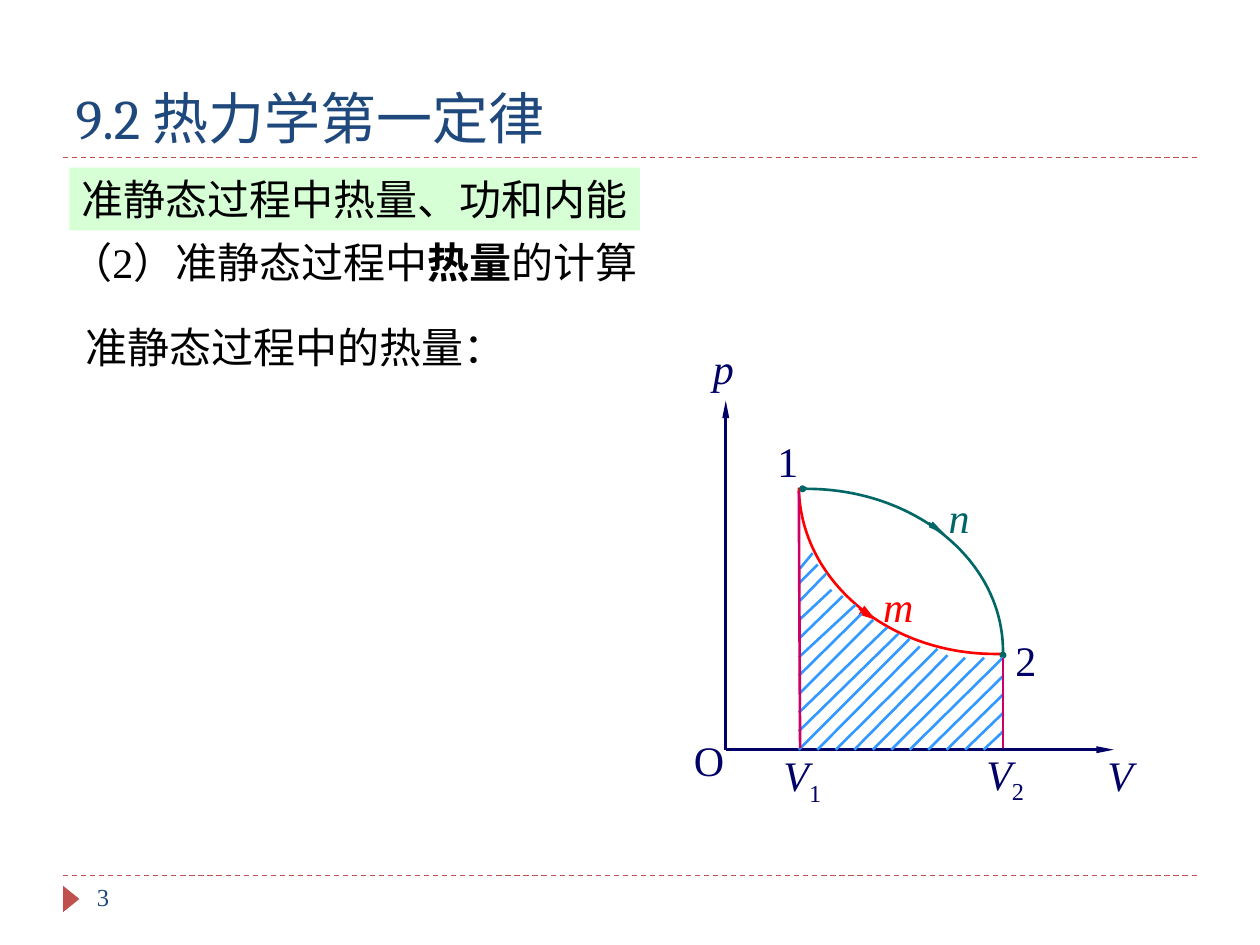
import pptx
import pptx.util
import pptx.dml.color
import pptx.enum.dml
import pptx.enum.shapes
import pptx.enum.text
import pptx.oxml
import pptx.oxml.ns

Inches = pptx.util.Inches
Pt = pptx.util.Pt
RGBColor = pptx.dml.color.RGBColor
qn = pptx.oxml.ns.qn
SHAPES = pptx.enum.shapes.MSO_SHAPE
ANCHOR = pptx.enum.text.MSO_ANCHOR

BLACK = RGBColor(0x00, 0x00, 0x00)
TITLE_BLUE = RGBColor(0x1F, 0x49, 0x7D)
ACCENT_RED = RGBColor(0xC0, 0x50, 0x4D)
PALE_GREEN = RGBColor(0xCC, 0xFF, 0xCC)
NAVY = RGBColor(0x00, 0x00, 0x66)
RED = RGBColor(0xFF, 0x00, 0x00)
TEAL = RGBColor(0x00, 0x66, 0x66)
MAGENTA = RGBColor(0xCC, 0x00, 0x66)
HATCH_BLUE = RGBColor(0x33, 0x99, 0xFF)
BODY_FONT = "Times New Roman"

# Key positions of the p-V diagram
ORIGIN_X, AXIS_Y = 5.76, 5.95
V1_X, V2_X = 6.34, 7.96

# Upper ends of the hatch lines that stop at curve m
HATCH_TOPS = [
    (6.49, 4.48), (6.56, 4.55), (6.60, 4.68), (6.69, 4.73), (6.79, 4.80),
    (6.84, 4.87), (6.93, 4.92), (7.04, 4.98), (7.13, 5.03), (7.22, 5.07),
    (7.30, 5.13), (7.44, 5.15), (7.52, 5.20), (7.66, 5.22), (7.81, 5.22),
]


def format_run(run, size, color, font=BODY_FONT, italic=False, bold=False):
    run.font.name = font
    run.font.size = Pt(size)
    run.font.color.rgb = color
    run.font.italic = italic
    run.font.bold = bold


def add_text(slide, left, top, width, height, text, color=BLACK, size=24,
             italic=False, subscript="", inset=None):
    box = slide.shapes.add_textbox(
        Inches(left), Inches(top), Inches(width), Inches(height))
    frame = box.text_frame
    frame.word_wrap = True
    if inset is not None:
        frame.margin_left = frame.margin_right = Inches(inset)
        frame.margin_top = frame.margin_bottom = Inches(inset)
    frame.text = text
    paragraph = frame.paragraphs[0]
    format_run(paragraph.runs[0], size, color, italic=italic)
    if subscript:
        run = paragraph.add_run()
        run.text = subscript
        format_run(run, size, color)
        run._r.get_or_add_rPr().set("baseline", "-25000")
    return paragraph


def add_line_end(line, end, kind, width="sm", length="lg"):
    element = pptx.oxml.parse_xml(
        f'<a:{end} {pptx.oxml.ns.nsdecls("a")} type="{kind}"'
        f' w="{width}" len="{length}"/>')
    line._get_or_add_ln().append(element)


def add_line(slide, start, end, color, width=1.5, arrow=None, dashed=False):
    """Draw a line; arrow gives the width of its arrowhead, if it has one."""
    connector = slide.shapes.add_connector(
        pptx.enum.shapes.MSO_CONNECTOR.STRAIGHT,
        *(Inches(value) for value in (*start, *end)))
    connector.line.color.rgb = color
    connector.line.width = Pt(width)
    if dashed:
        connector.line.dash_style = pptx.enum.dml.MSO_LINE.DASH
    if arrow:
        add_line_end(connector.line, "tailEnd", "triangle", arrow)
    connector._element.spPr.append(pptx.oxml.parse_xml(
        f'<a:effectLst {pptx.oxml.ns.nsdecls("a")}/>'))


def add_curve(slide, points, color, end_dots=False):
    """Draw cubic curves through a start point and triples of control points."""
    # The builder keeps whole units only, so work in hundredths of an inch
    units = [(round(x * 100), round(y * 100)) for x, y in points]
    builder = slide.shapes.build_freeform(*units[0], scale=Inches(0.01))
    builder.add_line_segments(units[1:], close=False)
    curve = builder.convert_to_shape()
    curve.shadow.inherit = False
    curve.fill.background()
    curve.line.color.rgb = color
    curve.line.width = Pt(1.5)
    if end_dots:
        for end in ("headEnd", "tailEnd"):
            add_line_end(curve.line, end, "oval", "sm", "sm")
    # Turn every three straight segments into one cubic segment
    outline = next(curve._element.iter(qn("a:path")))
    segments = outline.findall(qn("a:lnTo"))
    for index in range(0, len(segments), 3):
        cubic = outline.makeelement(qn("a:cubicBezTo"), {})
        for segment in segments[index:index + 3]:
            cubic.append(segment[0])
            outline.remove(segment)
        outline.append(cubic)


def add_frame(slide):
    # Title, rules and page number
    title = slide.shapes.title
    title.left, title.top = Inches(0.5), Inches(0.25)
    title.width, title.height = Inches(9), Inches(1)
    title.text_frame.text = "9.2 热力学第一定律"
    title.text_frame.vertical_anchor = ANCHOR.BOTTOM
    paragraph = title.text_frame.paragraphs[0]
    paragraph.alignment = pptx.enum.text.PP_ALIGN.LEFT
    format_run(paragraph.runs[0], 32, TITLE_BLUE, "Cambria")
    for y in (1.25, 6.95):
        add_line(slide, (0.5, y), (9.5, y), ACCENT_RED, 0.75, dashed=True)
    marker = slide.shapes.add_shape(
        SHAPES.ISOSCELES_TRIANGLE,
        Inches(0.46), Inches(7.07), Inches(0.21), Inches(0.13))
    marker.rotation = 90
    marker.shadow.inherit = False
    marker.fill.solid()
    marker.fill.fore_color.rgb = ACCENT_RED
    marker.line.fill.background()
    add_text(slide, 0.67, 6.95, 2.17, 0.4, "3", TITLE_BLUE, 14)


def add_heading(slide):
    # Translucent green section heading
    heading = slide.shapes.add_shape(
        SHAPES.RECTANGLE, Inches(0.55), Inches(1.33), Inches(4.53), Inches(0.5))
    heading.shadow.inherit = False
    heading.fill.solid()
    heading.fill.fore_color.rgb = PALE_GREEN
    color = next(heading._element.spPr.iter(qn("a:srgbClr")))
    color.append(color.makeelement(qn("a:alpha"), {"val": "80000"}))
    heading.line.fill.background()
    frame = heading.text_frame
    frame.word_wrap = False
    frame.vertical_anchor = ANCHOR.MIDDLE
    frame.text = "准静态过程中热量、功和内能"
    format_run(frame.paragraphs[0].runs[0], 24, BLACK)


def add_hatching(slide):
    # Evenly spaced lower ends run down the V1 line, then along the axis
    step = (AXIS_Y - 4.63) / 9
    tops = HATCH_TOPS + [(V2_X, 5.22 + step * k) for k in range(5)]
    bottoms = [(V1_X, 4.63 + step * k) for k in range(10)]
    bottoms += [(V1_X + step * k, AXIS_Y) for k in range(1, 11)]
    add_line(slide, (6.45, 4.39), (6.35, 4.51), HATCH_BLUE)
    for top, bottom in zip(tops, bottoms):
        add_line(slide, top, bottom, HATCH_BLUE)


def add_diagram(slide):
    # Axes
    for end in ((8.84, AXIS_Y), (ORIGIN_X, 3.18)):
        add_line(slide, (ORIGIN_X, AXIS_Y), end, NAVY, arrow="sm")

    # Processes m and n with their direction arrows
    add_curve(slide, [(7.96, 5.19), (7.94, 5.19), (7.92, 5.19), (7.9, 5.19),
                      (7.04, 5.19), (6.35, 4.6), (6.34, 3.87)], RED)
    add_curve(slide, [(6.37, 3.88), (6.38, 3.88), (6.39, 3.87), (6.4, 3.88),
                      (7.26, 3.88), (7.96, 4.45), (7.96, 5.17),
                      (7.96, 5.18), (7.96, 5.19), (7.96, 5.2)], TEAL, True)
    add_line(slide, (7.37, 4.15), (7.5, 4.24), TEAL, arrow="sm")
    add_line(slide, (6.82, 4.83), (6.95, 4.92), RED, arrow="med")

    # Area under curve m and its limits
    add_hatching(slide)
    add_line(slide, (V2_X, 5.22), (V2_X, 5.94), MAGENTA)
    add_line(slide, (V1_X, 3.9), (6.35, 5.94), MAGENTA)

    # State and process labels
    for left, top, text, color, italic in (
            (6.16, 3.45, "1", NAVY, False), (8.05, 5.03, "2", NAVY, False),
            (7.0, 4.6, "m", RED, True), (7.52, 3.89, "n", TEAL, True)):
        add_text(slide, left, top, 0.5, 0.57, text, color,
                 italic=italic, inset=0.01)

    # Axis labels
    for left, top, text, subscript, italic in (
            (8.69, 5.9, "V", "", True), (7.73, 5.89, "V", "2", True),
            (6.12, 5.9, "V", "1", True), (5.41, 5.78, "O", "", False),
            (5.56, 2.67, "p", "", True)):
        add_text(slide, left, top, 0.73, 0.5, text, NAVY,
                 italic=italic, subscript=subscript)


def main():
    presentation = pptx.Presentation()
    presentation.slide_width = Inches(10)
    presentation.slide_height = Inches(7.5)
    slide = presentation.slides.add_slide(presentation.slide_layouts[5])
    add_frame(slide)
    add_heading(slide)

    # Body text, with the key word in bold
    paragraph = add_text(slide, 0.46, 1.83, 5.12, 0.5, "（2）准静态过程中")
    for text, bold in (("热量", True), ("的计算", False)):
        run = paragraph.add_run()
        run.text = text
        format_run(run, 24, BLACK, bold=bold)
    add_text(slide, 0.58, 2.5, 3.92, 0.5, "准静态过程中的热量：")

    add_diagram(slide)
    presentation.save("out.pptx")


if __name__ == "__main__":
    main()
